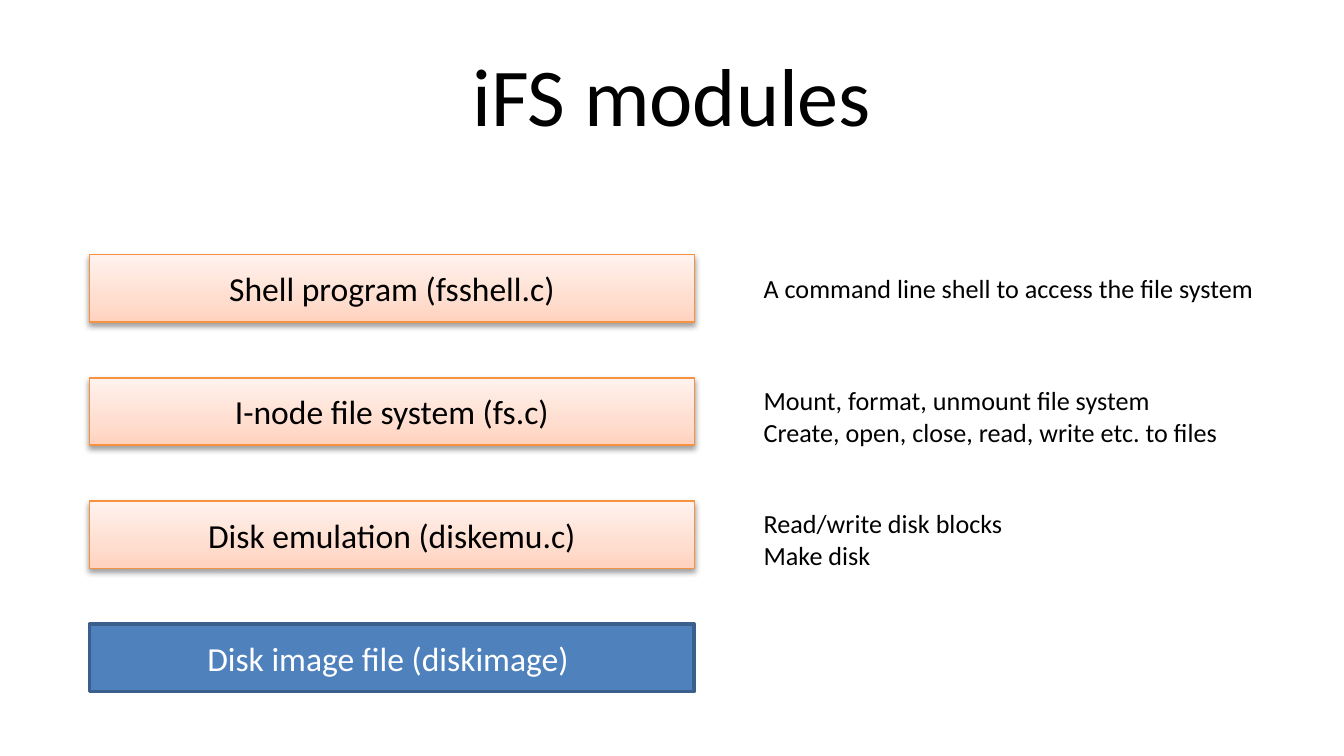
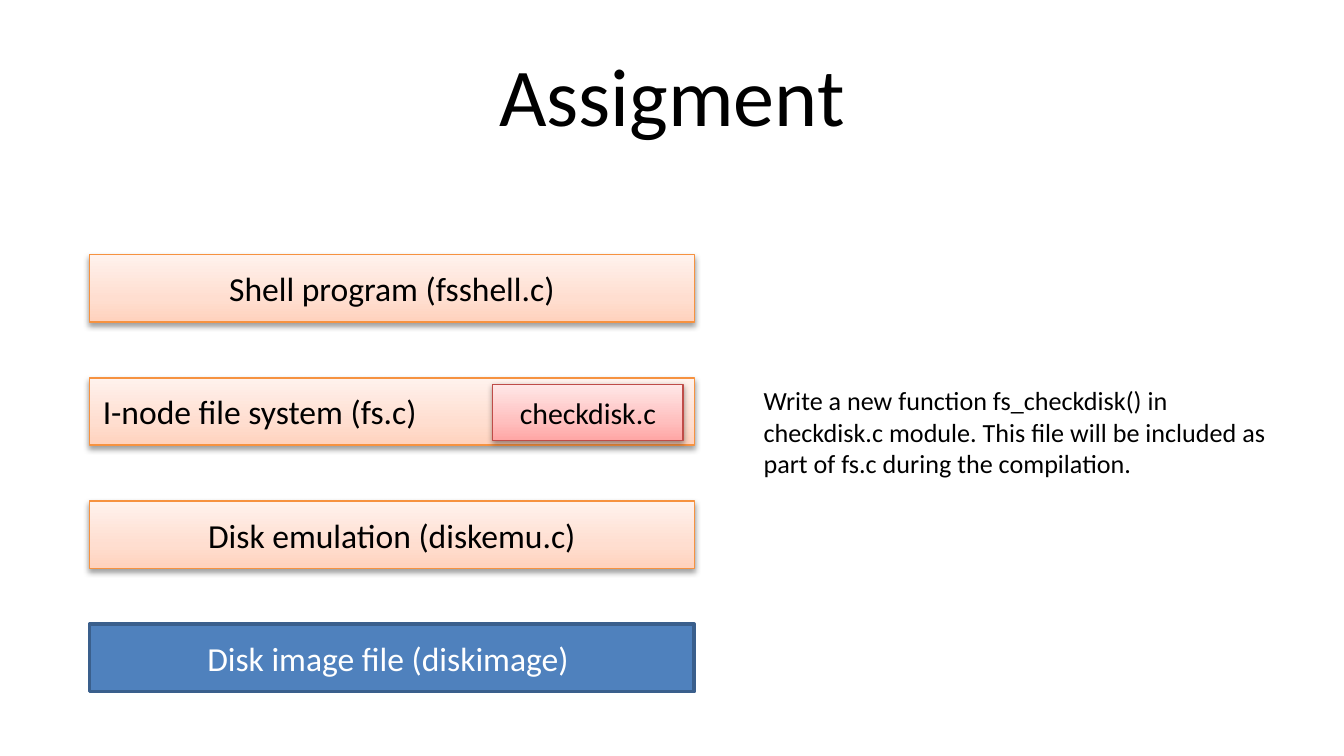
from lxml import etree
from pptx import Presentation
from pptx.dml.color import RGBColor
from pptx.enum.shapes import MSO_SHAPE
from pptx.enum.text import MSO_ANCHOR, MSO_AUTO_SIZE, PP_ALIGN
from pptx.oxml.ns import qn
from pptx.util import Pt

RECT = MSO_SHAPE.RECTANGLE
MIDDLE = MSO_ANCHOR.MIDDLE
FIT_SHAPE = MSO_AUTO_SIZE.SHAPE_TO_FIT_TEXT
LEFT, CENTER = PP_ALIGN.LEFT, PP_ALIGN.CENTER

FONT = "Calibri"
BLACK, WHITE = "000000", "FFFFFF"
BLUE, BLUE_LINE = "4F81BD", "3A5F8C"
ORANGE_STOPS, ORANGE_LINE = ("FFD2BD", "FFDED0", "FFF2ED"), "F69240"
RED_STOPS, RED_LINE = ("FFA6A5", "FFC0BF", "FFE7E7"), "BF4C48"
STOP_POSITIONS = (0, 35, 100)

ROW_LEFT, ROW_TOP, ROW_PITCH = 48, 136.5, 66
ROW_WIDTH, ROW_HEIGHT = 324, 36
NOTE_LEFT = 402


def rgb(color):
    return RGBColor.from_string(color)


def row_top(row):
    return ROW_TOP + row * ROW_PITCH


def add_color(parent, color):
    return etree.SubElement(parent, qn("a:srgbClr"), val=color)


class Deck:
    """Holds the presentation, its style and the current slide."""

    def __init__(self):
        self.prs = Presentation()
        self.prs.slide_width, self.prs.slide_height = Pt(720), Pt(405)
        self.slide = None

    def new_slide(self, title):
        self.slide = self.prs.slides.add_slide(self.prs.slide_layouts[5])
        sp = self.slide.shapes.title
        sp.left, sp.top, sp.width, sp.height = Pt(36), Pt(16.5), Pt(648), Pt(67.5)
        sp.text_frame.vertical_anchor = MIDDLE
        self.add_lines(sp.text_frame, [title], 44, BLACK, CENTER)

    def add_lines(self, tf, lines, size, color, align=LEFT):
        for i, line in enumerate(lines):
            p = tf.add_paragraph() if i else tf.paragraphs[0]
            p.alignment = align
            r = p.add_run()
            r.text = line
            r.font.name, r.font.size = FONT, Pt(size)
            r.font.color.rgb = rgb(color)

    def box(self, text, left, top, width, height, line, line_width=0.75,
            size=18, color=BLACK, align=CENTER):
        sp = self.slide.shapes.add_shape(RECT, Pt(left), Pt(top), Pt(width), Pt(height))
        sp.shadow.inherit = False
        sp.line.color.rgb = rgb(line)
        sp.line.width = Pt(line_width)
        tf = sp.text_frame
        tf.word_wrap = True
        tf.vertical_anchor = MIDDLE
        self.add_lines(tf, [text], size, color, align)
        return sp

    def plain_box(self, text, *place):
        sp = self.box(text, *place, BLUE_LINE, 2, color=WHITE)
        sp.fill.solid()
        sp.fill.fore_color.rgb = rgb(BLUE)

    def raised_box(self, text, *place, stops=ORANGE_STOPS, line=ORANGE_LINE, **style):
        """Box with an upward gradient and a soft shadow below it."""
        sp = self.box(text, *place, line, **style)
        sp.fill.gradient()
        sp.fill.gradient_angle = 90
        properties = sp.element.spPr
        stop_list = properties.find(f".//{qn('a:gsLst')}")
        for stop in list(stop_list):
            stop_list.remove(stop)
        for position, color in zip(STOP_POSITIONS, stops):
            add_color(etree.SubElement(stop_list, qn("a:gs"), pos=str(position * 1000)), color)
        shadow = etree.SubElement(properties.find(qn("a:effectLst")), qn("a:outerShdw"),
                                  blurRad="40000", dist="20000", dir="5400000",
                                  rotWithShape="0")
        etree.SubElement(add_color(shadow, BLACK), qn("a:alpha"), val="38000")

    def note(self, lines, top, width, height, wrap=False):
        sp = self.slide.shapes.add_textbox(Pt(NOTE_LEFT), Pt(top), Pt(width), Pt(height))
        tf = sp.text_frame
        tf.word_wrap = wrap
        tf.auto_size = FIT_SHAPE
        self.add_lines(tf, lines, 14, BLACK)

    def module_stack(self, file_system_align=CENTER):
        """The four layers, from the disk image up to the shell."""
        def place(row):
            return ROW_LEFT, row_top(row), ROW_WIDTH, ROW_HEIGHT

        self.plain_box("Disk image file (diskimage) ", *place(3))
        self.raised_box("Disk emulation (diskemu.c)", *place(2))
        self.raised_box("I-node file system (fs.c)", *place(1), align=file_system_align)
        self.raised_box("Shell program (fsshell.c)", *place(0))


def modules_slide(deck):
    deck.new_slide("iFS modules")
    deck.module_stack()
    deck.note(["Read/write disk blocks", "Make disk"], row_top(2), 144, 41)
    deck.note(["Mount, format, unmount file system",
               "Create, open, close, read, write etc. to files"], row_top(1), 260, 41)
    deck.note(["A command line shell to access the file system"], row_top(0) + 6, 279.5, 24.5)


def assignment_slide(deck):
    deck.new_slide("Assigment")
    deck.module_stack(file_system_align=LEFT)
    deck.raised_box("checkdisk.c", 264, row_top(1) + 3.5, 102, 30,
                    stops=RED_STOPS, line=RED_LINE, size=16)
    deck.note(["Write a new function fs_checkdisk() in checkdisk.c module. "
               "This file will be included as part of fs.c during the compilation."],
              row_top(1), 294, 58, wrap=True)


def main():
    deck = Deck()
    modules_slide(deck)
    assignment_slide(deck)
    deck.prs.save("out.pptx")


if __name__ == "__main__":
    main()
